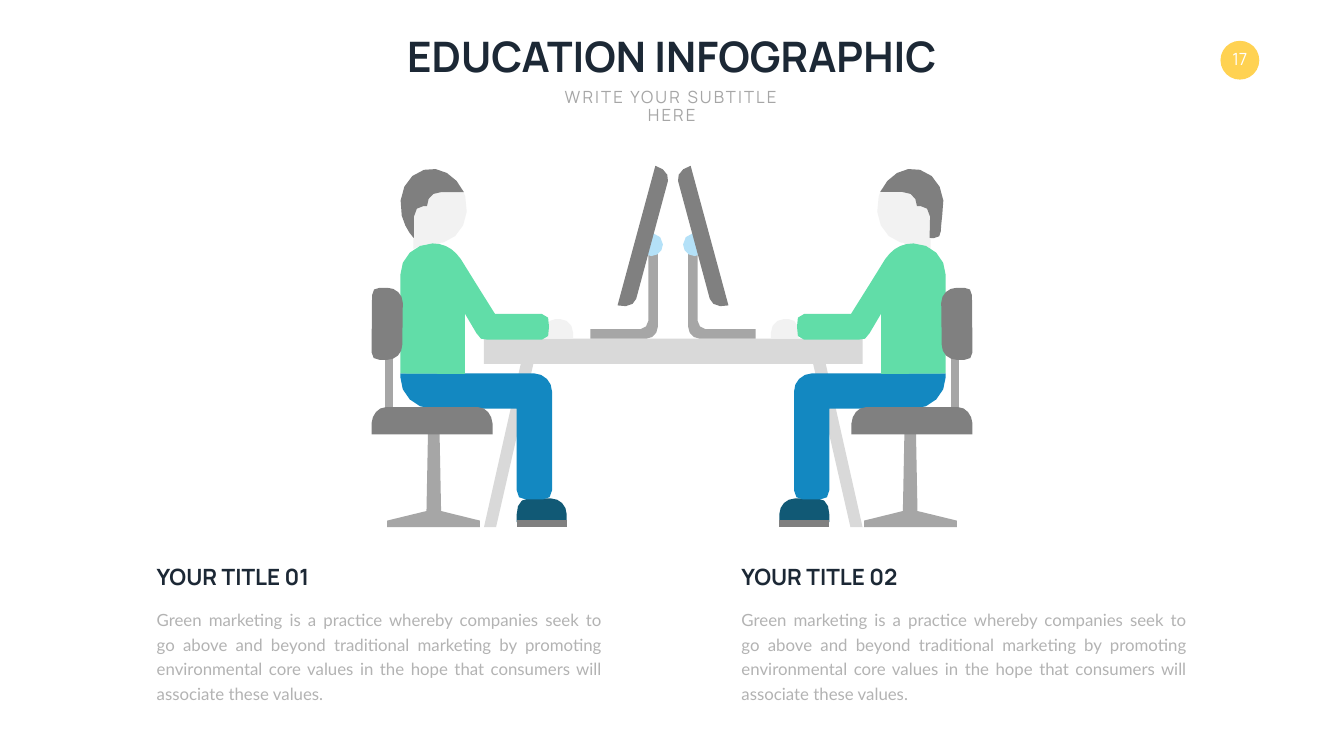
from dataclasses import dataclass
from math import dist

from pptx import Presentation
from pptx.dml.color import RGBColor
from pptx.enum.shapes import MSO_SHAPE
from pptx.enum.text import MSO_ANCHOR, PP_ALIGN
from pptx.util import Inches, Pt


@dataclass(frozen=True)
class Theme:
    """Colours, fonts and type sizes of the slide."""
    dark: str = "1C2835"
    white: str = "FFFFFF"
    yellow: str = "FFD252"
    subtitle: str = "A6A6A6"
    body: str = "B3B3B3"
    desk: str = "D9D9D9"
    metal: str = "A6A6A6"
    seat: str = "808080"
    hair: str = "7F7F7F"
    joint: str = "B4E1F8"
    shoe: str = "115975"
    trousers: str = "1388C1"
    skin: str = "F2F2F2"
    sweater: str = "61DDA8"
    display_font: str = "Manrope"
    body_font: str = "Lato"
    title_size: int = 60
    heading_size: int = 32
    text_size: int = 24


@dataclass(frozen=True)
class Box:
    """A region of the slide in inches."""
    left: float
    top: float
    width: float
    height: float

    def inner(self, left, top, width, height):
        """Return a box placed relative to this one."""
        return Box(self.left + left, self.top + top, width, height)

    def lengths(self):
        """Return the four lengths that a new shape needs."""
        return [Inches(value) for value in (self.left, self.top, self.width, self.height)]


@dataclass(frozen=True)
class Part:
    """A filled outline: a pair is a line end, six numbers are a curve."""
    fill: str
    steps: list
    mirror_shift: float = 0.0


THEME = Theme()
BODY_TEXT = ("Green marketing is a practice whereby companies seek to go above and beyond "
             "traditional marketing by promoting environmental core values in the hope that "
             "consumers will associate these values.")
CURVE_PIECE = 0.12
MOST_PIECES = 4
BODY_SHIFT = 0.04

DESK = Part(THEME.desk, [
    (2.6, 3.72), (10.11, 3.72), (10.11, 4.22), (9.38, 4.22), (10.11, 7.46), (9.87, 7.46),
    (9.13, 4.22), (3.58, 4.22), (2.84, 7.46), (2.6, 7.46), (3.33, 4.22), (2.6, 4.22)])

MONITOR = [
    Part(THEME.metal, [
        (5.93, 2.07), (5.86, 2.06), (5.86, 3.37), (5.86, 3.45, 5.79, 3.52, 5.71, 3.53),
        (4.71, 3.53), (4.71, 3.72), (5.82, 3.72), (5.95, 3.72, 6.05, 3.61, 6.05, 3.48),
        (6.05, 2.03)], BODY_SHIFT),
    Part(THEME.joint, [
        (5.96, 1.63), (5.85, 2.06), (5.92, 2.08),
        (6.05, 2.08, 6.15, 1.98, 6.15, 1.85), (6.15, 1.74, 6.07, 1.65, 5.96, 1.63)], BODY_SHIFT),
    Part(THEME.seat, [
        (6, 0.29), (5.25, 3.06), (5.42, 3.11, 5.59, 3.05, 5.62, 2.93), (6.25, 0.59),
        (6.28, 0.47, 6.17, 0.33, 6, 0.29)], BODY_SHIFT)]

BODY = [
    Part(THEME.shoe, [
        (3.93, 6.89), (3.49, 6.89), (3.32, 6.89, 3.25, 7.03, 3.25, 7.2), (3.25, 7.36),
        (4.24, 7.36), (4.24, 7.2), (4.24, 7.03, 4.1, 6.89, 3.93, 6.89)], BODY_SHIFT),
    Part(THEME.seat, [(3.25, 7.46), (3.25, 7.31), (4.24, 7.31), (4.24, 7.46)], BODY_SHIFT),
    Part(THEME.trousers, [
        (3.85, 4.52), (3.78, 4.45, 3.69, 4.41, 3.6, 4.41), (0.94, 4.41), (0.94, 4.48),
        (0.94, 4.83, 1.23, 5.11, 1.58, 5.11), (3.25, 5.11), (3.25, 6.73),
        (3.25, 6.93, 3.4, 6.91, 3.6, 6.91), (3.79, 6.91, 3.95, 6.93, 3.95, 6.73),
        (3.95, 4.77), (3.95, 4.67, 3.91, 4.58, 3.85, 4.52)], BODY_SHIFT),
    Part(THEME.skin, [
        (1.2, 1.94), (1.3, 1.88, 1.43, 1.84, 1.56, 1.84), (1.72, 1.86), (1.72, 1.82),
        (1.8, 1.81), (2.15, 1.71, 2.34, 1.31, 2.23, 0.9), (2.18, 0.76), (1.76, 0.76),
        (1.56, 0.76, 1.46, 0.88, 1.46, 1.04), (1.46, 1.04, 1.34, 1.02, 1.27, 1.1),
        (1.19, 1.17, 1.2, 1.25, 1.2, 1.25)]),
    Part(THEME.skin, [
        (3.82, 3.72), (3.82, 3.61), (3.82, 3.45, 3.88, 3.33, 4.02, 3.33), (4.11, 3.33),
        (4.25, 3.33, 4.37, 3.45, 4.37, 3.61), (4.37, 3.72)]),
    Part(THEME.sweater, [
        (0.94, 4.41), (0.94, 2.46), (0.94, 2.11, 1.23, 1.83, 1.58, 1.83),
        (1.77, 1.83, 1.93, 1.9, 2.05, 2.03), (2.14, 2.14), (2.45, 2.64), (2.82, 3.23),
        (3.75, 3.23), (3.89, 3.23, 3.89, 3.34, 3.89, 3.48),
        (3.89, 3.63, 3.89, 3.74, 3.75, 3.74), (2.67, 3.74), (2.54, 3.72), (2.45, 3.61),
        (2.22, 3.22), (2.22, 4.42)], BODY_SHIFT)]

HAIR_TOP = [
    (1.21, 1.3), (1.21, 1.3, 1.2, 1.22, 1.27, 1.14), (1.35, 1.07, 1.47, 1.09, 1.47, 1.09),
    (1.47, 0.93, 1.57, 0.81, 1.76, 0.81), (2.2, 0.81), (2.05, 0.48, 1.72, 0.28, 1.41, 0.37),
    (1.06, 0.46, 0.87, 0.87, 0.97, 1.28)]
TAPERED_HAIR = Part(THEME.hair, HAIR_TOP + [(1.05, 1.58, 1.21, 1.72, 1.21, 1.72)])
SQUARE_HAIR = Part(THEME.hair, HAIR_TOP + [
    (1, 1.44, 0.98, 1.63, 1.03, 1.69), (1.09, 1.75, 1.22, 1.72, 1.22, 1.72)])

CHAIR = [
    Part(THEME.metal, [
        (1.46, 7.14), (0.68, 7.33), (0.68, 7.46), (2.52, 7.46), (2.52, 7.33), (1.75, 7.14),
        (1.72, 5.6), (1.49, 5.6)]),
    Part(THEME.metal, [(0.63, 4.11), (0.8, 4.11), (0.8, 5.11), (0.63, 5.11)]),
    Part(THEME.seat, [
        (2.77, 5.4), (2.76, 5.23, 2.64, 5.08, 2.49, 5.08), (0.65, 5.08),
        (0.5, 5.08, 0.38, 5.23, 0.37, 5.4), (0.37, 5.62), (2.77, 5.62)]),
    Part(THEME.seat, [
        (0.98, 3.84), (0.98, 4.01, 0.85, 4.14, 0.68, 4.14), (0.51, 4.14, 0.37, 4.16, 0.37, 3.99),
        (0.38, 2.86), (0.38, 2.69, 0.51, 2.71, 0.68, 2.71),
        (0.85, 2.71, 0.99, 2.84, 0.99, 3.01)])]


def flatten(steps):
    """Turn line ends and curves into points, with more points on wider curves."""
    points = []
    for step in steps:
        if len(step) == 2:
            points.append(step)
            continue
        controls = [points[-1], step[:2], step[2:4], step[4:]]
        pieces = max(1, min(MOST_PIECES, round(dist(controls[0], controls[3]) / CURVE_PIECE)))
        for index in range(1, pieces + 1):
            t = index / pieces
            weights = ((1 - t) ** 3, 3 * t * (1 - t) ** 2, 3 * t * t * (1 - t), t ** 3)
            points.append(tuple(sum(weight * control[axis] for weight, control
                                    in zip(weights, controls)) for axis in (0, 1)))
    return points


def paint(shape, fill):
    """Give a shape a plain fill without line or shadow."""
    shape.shadow.inherit = False
    shape.fill.solid()
    shape.fill.fore_color.rgb = RGBColor.from_string(fill)
    shape.line.fill.background()


def draw_part(slide, box, part, mirrored=False):
    """Draw one outline in the box, flipped left to right if asked."""
    points = [(Inches(box.left + (box.width + part.mirror_shift - x if mirrored else x)),
               Inches(box.top + y)) for x, y in flatten(part.steps)]
    builder = slide.shapes.build_freeform(*points[0], scale=1.0)
    builder.add_line_segments(points[1:], close=True)
    paint(builder.convert_to_shape(), part.fill)


def write(shape, text, size, color, font=THEME.display_font, bold=False, wrap=False,
          align=PP_ALIGN.CENTER, anchor=MSO_ANCHOR.TOP, line_spacing=0.9):
    """Put one formatted paragraph into a shape and return its run."""
    frame = shape.text_frame
    frame.text = text
    frame.word_wrap = wrap
    frame.vertical_anchor = anchor
    paragraph = frame.paragraphs[0]
    paragraph.alignment = align
    paragraph.line_spacing = line_spacing
    run = paragraph.runs[0]
    run.font.name = font
    run.font.size = Pt(size)
    run.font.bold = bold
    run.font.color.rgb = RGBColor.from_string(color)
    return run


def draw_header(slide, box):
    """Draw the title and the letter-spaced subtitle."""
    title = slide.shapes.add_textbox(*box.inner(0, 0, box.width, 1.11).lengths())
    write(title, "EDUCATION INFOGRAPHIC", THEME.title_size, THEME.dark, bold=True)
    width = 5.43
    subtitle_box = box.inner((box.width - width) / 2, 1.05, width, 0.5)
    subtitle = slide.shapes.add_textbox(*subtitle_box.lengths())
    run = write(subtitle, "WRITE YOUR SUBTITLE HERE", THEME.text_size, THEME.subtitle, wrap=True)
    run.font._element.set("spc", "300")


def draw_page_number(slide, box, number):
    """Draw the round page number badge."""
    badge = slide.shapes.add_shape(MSO_SHAPE.OVAL, *box.lengths())
    paint(badge, THEME.yellow)
    write(badge, number, THEME.text_size, THEME.white, anchor=MSO_ANCHOR.MIDDLE)


def draw_workplace(slide, box):
    """Draw two people facing each other across a desk."""
    draw_part(slide, box, DESK)
    for mirrored in (False, True):
        for part in MONITOR:
            draw_part(slide, box, part, mirrored)
    for mirrored, hair in ((False, TAPERED_HAIR), (True, SQUARE_HAIR)):
        for part in [*BODY, hair, *CHAIR]:
            draw_part(slide, box, part, mirrored)


def draw_caption(slide, box, title):
    """Draw a heading with its paragraph below."""
    heading = slide.shapes.add_textbox(*box.inner(0, 0, 3.3, 0.64).lengths())
    write(heading, title, THEME.heading_size, THEME.dark, bold=True,
          align=PP_ALIGN.LEFT, anchor=MSO_ANCHOR.MIDDLE)
    body = slide.shapes.add_textbox(*box.inner(0, 0.81, box.width, 2.01).lengths())
    write(body, BODY_TEXT, THEME.text_size, THEME.body, font=THEME.body_font, wrap=True,
          align=PP_ALIGN.JUSTIFY, line_spacing=Pt(35))


def main():
    """Build the slide and save it."""
    presentation = Presentation()
    presentation.slide_width = Inches(26.66)
    presentation.slide_height = Inches(15)
    slide = presentation.slides.add_slide(presentation.slide_layouts[6])
    draw_page_number(slide, Box(24.21, 0.81, 0.77, 0.77), "17")
    draw_workplace(slide, Box(7, 3, 12.66, 7.46))
    draw_header(slide, Box(7.73, 0.67, 11.19, 1.55))
    for index in range(2):
        draw_caption(slide, Box(3.01 + 11.6 * index, 11.16, 9.02, 2.82),
                     f"YOUR TITLE {index + 1:02d}")
    presentation.save("out.pptx")


if __name__ == "__main__":
    main()
